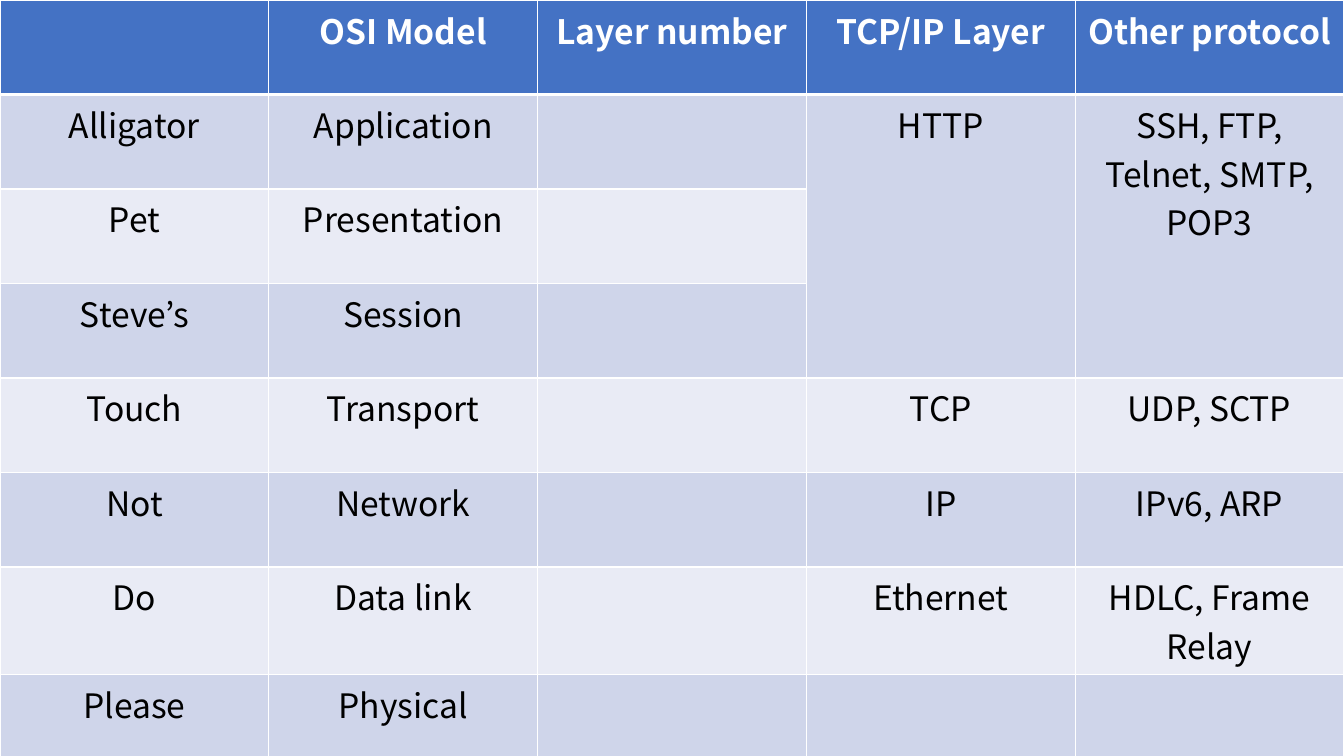
from dataclasses import dataclass

from lxml import etree
from pptx import Presentation
from pptx.dml.color import RGBColor
from pptx.enum.text import PP_ALIGN
from pptx.oxml.ns import qn
from pptx.table import _Cell
from pptx.util import Emu, Pt

CENTER = PP_ALIGN.CENTER
SCALE = 914400 / 100.8
WIDE, HIGH = 1344, 756
FONT = "Noto Sans CJK KR"
SIZE = 24
THIN, THICK = 1, 3
HUES = {
    "head": "4472C4",
    "dark": "CFD5EA",
    "light": "E9EBF5",
    "line": "FFFFFF",
    "white": "FFFFFF",
    "black": "000000",
}


@dataclass(frozen=True)
class Layer:
    hint: str
    model: str
    number: str = ""
    main: str = ""
    other: str = ""
    span: int = 1

    def texts(self) -> list[str]:
        return [self.hint, self.model, self.number, self.main, self.other]


@dataclass(frozen=True)
class Look:
    fill: str
    ink: str
    bold: bool
    top: int
    bottom: int


LAYERS = [
    Layer("", "OSI Model", "Layer number", "TCP/IP Layer", "Other protocol"),
    Layer("Alligator", "Application", "", "HTTP",
          "SSH, FTP, Telnet, SMTP, POP3", span=3),
    Layer("Pet", "Presentation"),
    Layer("Steve’s", "Session"),
    Layer("Touch", "Transport", "", "TCP", "UDP, SCTP"),
    Layer("Not", "Network", "", "IP", "IPv6, ARP"),
    Layer("Do", "Data link", "", "Ethernet", "HDLC, Frame Relay"),
    Layer("Please", "Physical"),
]
MERGED = (3, 4)


def px(count: int) -> Emu:
    return Emu(round(count * SCALE))


def choose(row: int) -> Look:
    if row == 0:
        return Look("head", "white", True, THIN, THICK)
    fill = "dark" if row % 2 else "light"
    return Look(fill, "black", False, THICK if row == 1 else THIN, THIN)


def edge(cell: _Cell, side: str, points: int) -> None:
    props = cell._tc.get_or_add_tcPr()
    line = etree.SubElement(props, qn(f"a:ln{side}"), w=str(Pt(points)))
    solid = etree.SubElement(line, qn("a:solidFill"))
    etree.SubElement(solid, qn("a:srgbClr"), val=HUES["line"])


def paint(cell: _Cell, text: str, look: Look) -> None:
    sides = {"L": THIN, "R": THIN, "T": look.top, "B": look.bottom}
    for side, points in sides.items():
        edge(cell, side, points)
    cell.fill.solid()
    cell.fill.fore_color.rgb = RGBColor.from_string(HUES[look.fill])
    cell.text_frame.text = text
    para = cell.text_frame.paragraphs[0]
    para.alignment = CENTER
    for run in para.runs:
        run.font.name = FONT
        run.font.size = Pt(SIZE)
        run.font.bold = look.bold
        run.font.color.rgb = RGBColor.from_string(HUES[look.ink])


deck = Presentation()
deck.slide_width, deck.slide_height = px(WIDE), px(HIGH)
slide = deck.slides.add_slide(deck.slide_layouts[6])
count = len(LAYERS[0].texts())
table = slide.shapes.add_table(
    len(LAYERS), count, px(0), px(0), px(WIDE), px(HIGH)
).table

for row, layer in enumerate(LAYERS):
    for col, text in enumerate(layer.texts()):
        paint(table.cell(row, col), text, choose(row))

for row, layer in enumerate(LAYERS):
    if layer.span > 1:
        for col in MERGED:
            table.cell(row, col).merge(table.cell(row + layer.span - 1, col))

deck.save("out.pptx")
